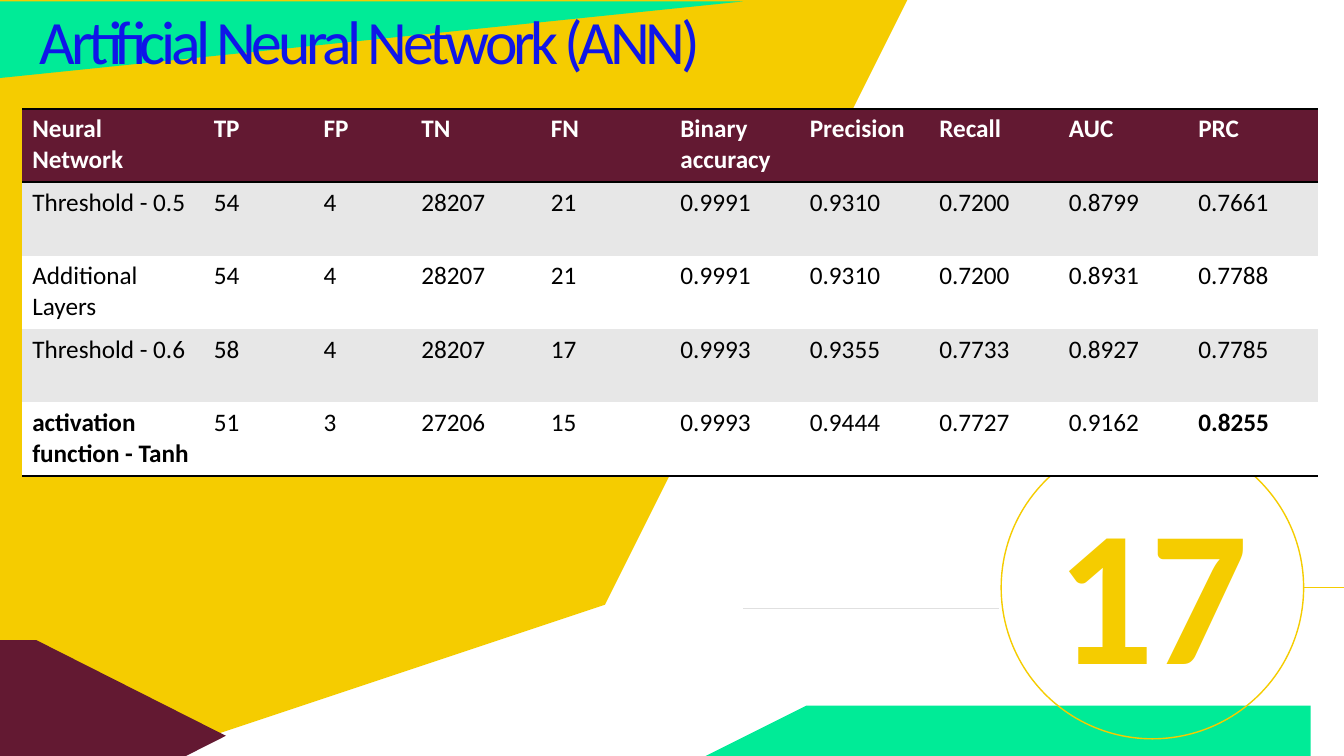
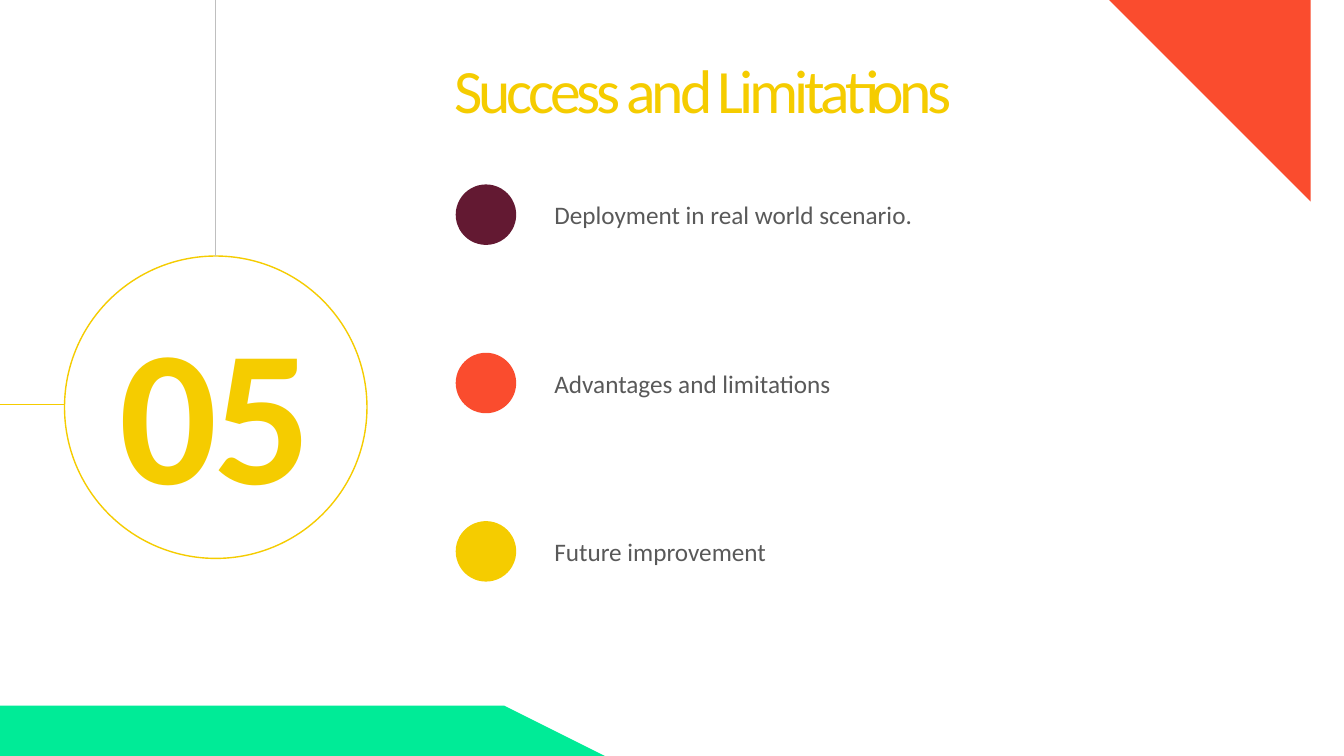
"""Build two slides: a table of network scores and a section opener."""
import pptx
import pptx.util
import pptx.dml.color
import pptx.enum.shapes
import pptx.enum.text
import pptx.oxml
import pptx.oxml.ns

Inches = pptx.util.Inches
Kind = pptx.enum.shapes.MSO_SHAPE
Align = pptx.enum.text.PP_ALIGN
Anchor = pptx.enum.text.MSO_ANCHOR
WIDE, HIGH = 13.33, 7.5
FONT = "Calibri"
HUES = {
    "gold": "F5CC00", "green": "00EB97", "wine": "631932", "red": "FA4C2E",
    "blue": "0F16E8", "gray": "595959", "rule": "BFBFBF", "faint": "E0E0E0",
    "band": "E7E7E7", "white": "FFFFFF", "black": "000000",
}
HEADS = ["Neural Network", "TP", "FP", "TN", "FN", "Binary accuracy",
         "Precision", "Recall", "AUC", "PRC"]
SCORES = [
    ["Threshold - 0.5", "54", "4", "28207", "21",
     "0.9991", "0.9310", "0.7200", "0.8799", "0.7661"],
    ["Additional Layers", "54", "4", "28207", "21",
     "0.9991", "0.9310", "0.7200", "0.8931", "0.7788"],
    ["Threshold - 0.6", "58", "4", "28207", "17",
     "0.9993", "0.9355", "0.7733", "0.8927", "0.7785"],
    ["activation function - Tanh", "51", "3", "27206", "15",
     "0.9993", "0.9444", "0.7727", "0.9162", "0.8255"],
]
TOPICS = [("Deployment in real world scenario.", "wine"),
          ("Advantages and limitations", "red"),
          ("Future improvement", "gold")]


def tint(hue):
    """Return the colour object of a named hue."""
    return pptx.dml.color.RGBColor.from_string(HUES[hue])


def lay(box):
    """Turn a box in inches into lengths."""
    return [Inches(side) for side in box]


def write(frame, text, size=18, hue="gray", bold=False, align=Align.LEFT, space=0):
    """Put one formatted run of text into a frame."""
    frame.word_wrap = True
    para = frame.paragraphs[0]
    para.alignment = align
    run = para.add_run()
    run.text = text
    font = run.font
    font.name, font.size, font.bold = FONT, pptx.util.Pt(size), bold
    font.color.rgb = tint(hue)
    if space:
        run.font._element.set("spc", str(space * 100))


def label(shapes, box, text, anchor=Anchor.TOP, **style):
    """Add a text box."""
    frame = shapes.add_textbox(*lay(box)).text_frame
    frame.vertical_anchor = anchor
    write(frame, text, **style)


def paint(shape, fill=None, line=None):
    """Set the fill and outline of a shape and drop its shadow."""
    shape.shadow.inherit = False
    if fill:
        shape.fill.solid()
        shape.fill.fore_color.rgb = tint(fill)
    else:
        shape.fill.background()
    if line:
        shape.line.color.rgb = tint(line)
        shape.line.width = pptx.util.Pt(1)
    else:
        shape.line.fill.background()


def form(shapes, kind, box, **look):
    """Add a painted preset shape."""
    shape = shapes.add_shape(kind, *lay(box))
    paint(shape, **look)
    return shape


def patch(slide, points, fill):
    """Add a filled outline through the points."""
    pen = slide.shapes.build_freeform(*points[0], scale=Inches(1))
    pen.add_line_segments(points[1:], close=True)
    paint(pen.convert_to_shape(), fill=fill)


def rule(slide, start, end, hue="gold"):
    """Add a thin straight line."""
    line = slide.shapes.add_connector(
        pptx.enum.shapes.MSO_CONNECTOR.STRAIGHT, *lay(start + end))
    line.line.color.rgb = tint(hue)
    line.line.width = pptx.util.Pt(0.5)
    line._element.spPr.append(pptx.oxml.parse_xml(
        f"<a:effectLst {pptx.oxml.ns.nsdecls('a')}/>"))


def title(slide, box, text, hue):
    """Add a slide title."""
    label(slide.shapes, box, text, anchor=Anchor.MIDDLE, size=44, hue=hue,
          align=Align.CENTER, space=-3)


def badge(slide, box, text):
    """Add a ringed number."""
    left, top, wide, high = box
    inset = 0.29
    form(slide.shapes, Kind.OVAL, box, line="gold")
    label(slide.shapes,
          (left + inset, top + inset, wide - 2 * inset, high - 2 * inset),
          text, anchor=Anchor.MIDDLE, size=138, hue="gold", bold=True,
          align=Align.CENTER, space=-3)


def wave(slide, edge, knee, toe):
    """Add the green band at the foot of a slide."""
    patch(slide, [(edge, HIGH), (edge, 6.98), (knee, 7.06), (toe, HIGH)], "green")


def border(cell, sides):
    """Draw the borders of a cell on the given sides."""
    props = cell._tc.get_or_add_tcPr()
    for spot, side in enumerate(sides):
        props.insert(spot, pptx.oxml.parse_xml(
            f'<a:ln{side} {pptx.oxml.ns.nsdecls("a")} w="25400"><a:solidFill>'
            f'<a:srgbClr val="{HUES["black"]}"/></a:solidFill></a:ln{side}>'))


def grid(slide, box):
    """Add the table of scores."""
    rows = [HEADS] + SCORES
    last = len(rows) - 1
    frame = slide.shapes.add_table(len(rows), len(HEADS), *lay(box))
    for style in frame._element.iter(pptx.oxml.ns.qn("a:tableStyleId")):
        style.text = "{2D5ABB26-0587-4C30-8999-92F81FD0307C}"
    table = frame.table
    first = [1.8, 1.09, 0.97]
    rest = len(HEADS) - len(first)
    widths = first + [(box[2] - sum(first)) / rest] * rest
    for column, width in zip(table.columns, widths):
        column.width = Inches(width)
    for i, row in enumerate(rows):
        table.rows[i].height = Inches(box[3] / len(rows))
        fill = "wine" if i == 0 else "band" if i % 2 else "white"
        for j, text in enumerate(row):
            cell = table.cell(i, j)
            cell.fill.solid()
            cell.fill.fore_color.rgb = tint(fill)
            best = i == last and j in (0, len(HEADS) - 1)
            write(cell.text_frame, text, hue="black" if i else "white",
                  bold=i == 0 or best)
            border(cell, "TB" if i == 0 else "B" if i == last else "")


def topic(slide, box, text, hue):
    """Add a dot with its topic as one group."""
    left, top, wide, high = box
    shapes = slide.shapes.add_group_shape().shapes
    form(shapes, Kind.OVAL, (left, top, high, high), fill=hue)
    label(shapes, (left + 0.88, top + 0.1, wide - 0.88, 0.4), text)


def report(slide):
    """Fill the slide with the network scores."""
    patch(slide, [(0, 0.02), (9.03, 0.02), (5.95, 5.77), (0.45, HIGH), (0, HIGH)],
          "gold")
    wave(slide, WIDE, 8.2, 5.83)
    badge(slide, (9.93, 4.33, 3, 3), "17")
    rule(slide, (WIDE, 5.83), (12.93, 5.83))
    arrow = form(slide.shapes, Kind.PENTAGON, (-0.35, 6.35, 2.59, 1.9), fill="wine")
    arrow.adjustments[0] = 0.99
    wedge = form(slide.shapes, Kind.RIGHT_TRIANGLE, (3.3, -3.29, 0.76, 7.37),
                 fill="green")
    wedge.rotation = 90
    rule(slide, (7.37, 6.04), (9.91, 6.04), "faint")
    title(slide, (-0.13, -0.02, 7.6, 0.84), "Artificial Neural Network (ANN)", "blue")
    grid(slide, (0.22, 1.08, 12.85, 3.64))


def opener(slide):
    """Fill the slide that opens a section."""
    badge(slide, (0.64, 2.54, 3, 3), "05")
    rule(slide, (2.14, 0), (2.14, 2.54), "rule")
    rule(slide, (0.64, 4.01), (0, 4.01))
    patch(slide, [(11.11, 0), (WIDE, 0), (WIDE, 1.94)], "red")
    wave(slide, 0, 5.02, 7.37)
    for i, (text, hue) in enumerate(TOPICS):
        topic(slide, (4.52, 1.83 + 1.67 * i, 5.5, 0.6), text, hue)
    title(slide, (2.35, 0.46, 9.25, 0.84), "Success and Limitations", "gold")


def main():
    """Build and save the deck."""
    deck = pptx.Presentation()
    deck.slide_width, deck.slide_height = lay((WIDE, HIGH))
    for fill in (report, opener):
        fill(deck.slides.add_slide(deck.slide_layouts[6]))
    deck.save("out.pptx")


if __name__ == "__main__":
    main()
